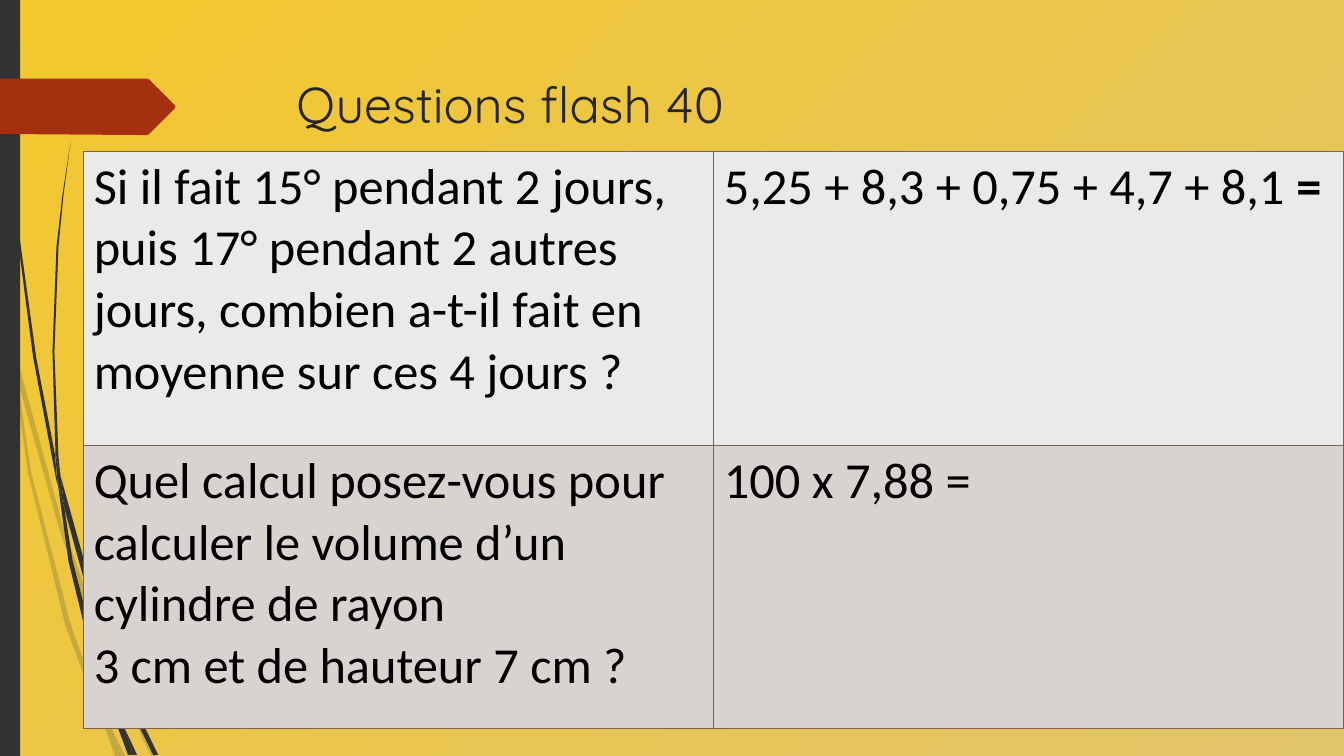
from collections import namedtuple

from lxml.etree import SubElement
from pptx import Presentation
from pptx.dml.color import RGBColor
from pptx.enum.shapes import MSO_SHAPE
from pptx.enum.text import MSO_ANCHOR, PP_ALIGN
from pptx.oxml.ns import qn
from pptx.util import Inches, Pt

Box = namedtuple("Box", "left top width height")

COLORS = {
    "gold": "F3C82D",
    "sand": "E1C369",
    "charcoal": "323232",
    "rust": "A5300F",
    "title": "262626",
    "text": "000000",
    "border": "7F5F52",
    "light_row": "ECEAE9",
    "dark_row": "D8D2D1",
}

HUNDREDTH = Inches(0.01)

PALE_WISPS = [
    [(11, 350), (9, 322), (0, 282), (0, 299), (10, 344)],
    [(58, 522), (84, 599), (85, 586), (62, 520), (14, 345), (17, 376)],
    [(92, 607), (88, 596), (88, 610), (123, 694), (150, 750), (155, 750), (127, 692)],
    [(119, 750), (124, 750), (105, 711)],
    [(93, 683), (70, 619), (31, 469), (17, 376), (11, 350), (28, 470), (65, 621),
     (92, 693), (101, 714), (99, 707)],
    [(84, 599), (87, 646), (93, 683), (96, 692), (105, 711), (103, 706), (91, 646),
     (88, 610), (88, 608)],
    [(88, 584), (110, 462), (160, 349), (229, 245), (268, 198), (290, 175), (312, 154),
     (312, 153), (289, 175), (268, 197), (228, 244), (158, 348), (107, 461), (85, 584),
     (85, 586), (88, 596)],
    [(101, 714), (114, 750), (119, 750)],
    [(88, 608), (88, 610), (88, 596), (85, 586), (84, 599)],
    [(96, 692), (93, 683), (99, 707), (101, 714), (119, 750), (105, 711)],
]

DARK_WISPS = [
    [(7, 110), (17, 233), (33, 355), (56, 477), (57, 481), (55, 457), (55, 453),
     (36, 355), (19, 232), (8, 109), (5, 48), (4, 0), (3, 0), (4, 48)],
    [(88, 592), (106, 645), (106, 633), (106, 631), (93, 590), (60, 472), (64, 505)],
    [(113, 649), (110, 641), (111, 656), (132, 708), (152, 749), (157, 749), (136, 706)],
    [(110, 691), (98, 657), (72, 556), (64, 505), (57, 477), (68, 557), (93, 659),
     (111, 708), (117, 722), (116, 717)],
    [(60, 472), (58, 453), (54, 349), (58, 245), (63, 193), (70, 141), (62, 193),
     (56, 245), (52, 349), (55, 449)],
    [(133, 749), (136, 749), (122, 719)],
    [(57, 477), (64, 505), (60, 472), (55, 449), (55, 453)],
    [(111, 633), (125, 552), (158, 476), (205, 406), (231, 374), (245, 359), (261, 344),
     (260, 344), (245, 358), (231, 373), (204, 405), (156, 474), (122, 551), (106, 631),
     (110, 641)],
    [(117, 722), (127, 749), (131, 749)],
    [(106, 645), (110, 691), (116, 706), (122, 719), (121, 716), (111, 656), (109, 651)],
    [(106, 645), (109, 651), (111, 656), (110, 641), (106, 631), (106, 633)],
    [(116, 706), (110, 691), (116, 717), (117, 722), (130, 749), (133, 749), (122, 719)],
]

ARROW = [(173, 108), (148, 133), (146, 134), (136, 134), (0, 133), (0, 78),
         (136, 78), (146, 78), (148, 79), (173, 104), (174, 106)]

QUESTIONS = [
    [
        [[("Si il fait 15° pendant 2 jours, puis 17° pendant 2 autres jours, "
           "combien a-t-il fait en moyenne sur ces 4 jours ?", False)]],
        [[("5,25 + 8,3 + 0,75 + 4,7 + 8,1", False), (" =", True)]],
    ],
    [
        [[("Quel calcul posez-vous pour calculer le volume d’un cylindre de rayon", False)],
         [("3 cm et de hauteur 7 cm\u00a0?", False)]],
        [[("100 x 7,88 =", False)]],
    ],
]


def color(name):
    """Return the named colour."""
    return RGBColor.from_string(COLORS[name])


def set_attributes(target, values):
    """Set each attribute of the target from a dict."""
    for name, value in values.items():
        setattr(target, name, value)


def paint(shape, color_name):
    """Give a shape a plain fill without line or shadow."""
    shape.shadow.inherit = False
    shape.fill.solid()
    shape.fill.fore_color.rgb = color(color_name)
    shape.line.fill.background()


def add_background(slide):
    """Fill the slide with a radial gradient centred at the bottom right."""
    fill = slide.background.fill
    fill.gradient()
    for stop, name, position in zip(fill.gradient_stops, ("sand", "gold"), (0, 1)):
        set_attributes(stop, {"position": position})
        stop.color.rgb = color(name)
    gradient = slide.background._cSld.find(".//" + qn("a:gradFill"))
    gradient.remove(gradient.find(qn("a:lin")))
    circle = SubElement(gradient, qn("a:path"), path="circle")
    SubElement(circle, qn("a:fillToRect"), l="100000", t="100000")


def add_outline(slide, box, points, color_name):
    """Draw a closed outline given in hundredths of an inch from the box corner."""
    builder = slide.shapes.build_freeform(*points[0], scale=HUNDREDTH)
    builder.add_line_segments(points[1:], close=True)
    shape = builder.convert_to_shape(box.left, box.top)
    paint(shape, color_name)
    return shape


def add_wisps(slide, box, outlines, opacity):
    """Draw a group of curved stems with the given opacity in percent."""
    wisps = [add_outline(slide, box, points, "charcoal") for points in outlines]
    if opacity < 100:
        for wisp in wisps:
            fill_color = wisp._element.spPr.find(qn("a:solidFill"))[0]
            SubElement(fill_color, qn("a:alpha"), val=str(opacity * 1000))
    slide.shapes.add_group_shape(shapes=wisps)


def add_decoration(slide, box):
    """Draw the stems, the side band and the arrow on the left edge."""
    add_wisps(slide, box, PALE_WISPS, 20)
    add_wisps(slide, box, DARK_WISPS, 100)
    band = slide.shapes.add_shape(
        MSO_SHAPE.RECTANGLE, box.left, box.top, Inches(0.2), box.height)
    paint(band, "charcoal")
    add_outline(slide, box, ARROW, "rust")


def add_title(slide, box, text):
    """Place and format the title placeholder."""
    title = slide.shapes.title
    set_attributes(title, box._asdict())
    frame = title.text_frame
    set_attributes(frame, {"text": text, "vertical_anchor": MSO_ANCHOR.TOP, "word_wrap": True})
    paragraph = frame.paragraphs[0]
    paragraph.alignment = PP_ALIGN.LEFT
    set_attributes(paragraph.font, {"name": "Quicksand", "size": Pt(36)})
    paragraph.font.color.rgb = color("title")


def fill_cell(cell, paragraphs, fill_name):
    """Write the paragraphs of one cell and set its borders and fill."""
    properties = cell._tc.get_or_add_tcPr()
    for side in ("a:lnL", "a:lnR", "a:lnT", "a:lnB"):
        line = SubElement(properties, qn(side), w=str(Pt(1)))
        SubElement(SubElement(line, qn("a:solidFill")), qn("a:srgbClr"), val=COLORS["border"])
    cell.fill.solid()
    cell.fill.fore_color.rgb = color(fill_name)
    frame = cell.text_frame
    for index, runs in enumerate(paragraphs):
        paragraph = frame.add_paragraph() if index else frame.paragraphs[0]
        for text, bold in runs:
            run = paragraph.add_run()
            run.text = text
            set_attributes(run.font, {"name": "Calibri", "size": Pt(36), "bold": bold})
            run.font.color.rgb = color("text")


def add_questions(slide, box):
    """Draw the table of questions."""
    table = slide.shapes.add_table(2, 2, *box).table
    set_attributes(table, {"first_row": False, "horz_banding": False})
    for row, height in zip(table.rows, (2.92, 2.81)):
        row.height = Inches(height)
    for row, contents, fill_name in zip(table.rows, QUESTIONS, ("light_row", "dark_row")):
        for cell, paragraphs in zip(row.cells, contents):
            fill_cell(cell, paragraphs, fill_name)


def main():
    """Build the slide and save the presentation."""
    presentation = Presentation()
    set_attributes(presentation, {"slide_width": Inches(13.33), "slide_height": Inches(7.5)})
    slide = presentation.slides.add_slide(presentation.slide_layouts[5])
    add_background(slide)
    add_decoration(slide, Box(0, 0, Inches(3.12), presentation.slide_height))
    add_title(slide, Box(*map(Inches, (2.84, 0.68, 9.75, 1.4))), "Questions flash 40")
    add_questions(slide, Box(*map(Inches, (0.83, 1.5, 12.5, 5.73))))
    presentation.save("out.pptx")


if __name__ == "__main__":
    main()
